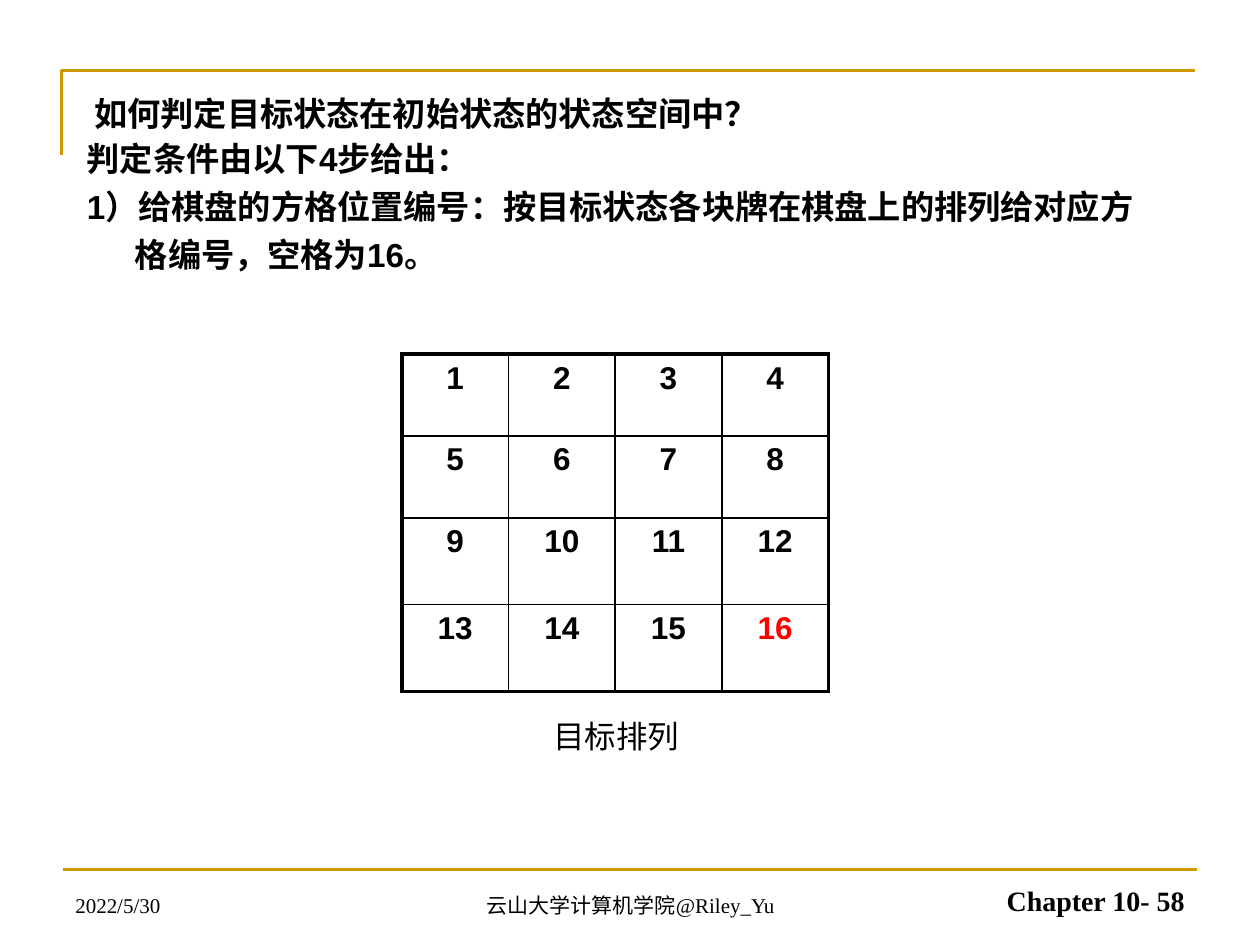
from lxml.etree import SubElement
from pptx import Presentation
from pptx.dml.color import RGBColor
from pptx.enum.shapes import MSO_CONNECTOR
from pptx.enum.text import MSO_ANCHOR, PP_ALIGN
from pptx.oxml import parse_xml
from pptx.oxml.ns import nsdecls, qn
from pptx.util import Cm, Pt

COLORS = {"text": "000000", "gold": "CC9900", "blank": "FF0000"}


def format_paragraph(paragraph, size, font_name, bold=False, color="text", align=PP_ALIGN.LEFT):
    paragraph.alignment = align
    for run in paragraph.runs:
        run.font.size = Pt(size)
        run.font.name = font_name
        run.font.bold = bold
        run.font.color.rgb = RGBColor.from_string(COLORS[color])


def add_text(left, top, width, height, lines, anchor=MSO_ANCHOR.TOP, **style):
    text_box = slide.shapes.add_textbox(Cm(left), Cm(top), Cm(width), Cm(height))
    text_frame = text_box.text_frame
    text_frame.word_wrap = True
    text_frame.vertical_anchor = anchor
    text_frame.text = "\n".join(lines)
    for paragraph in text_frame.paragraphs:
        format_paragraph(paragraph, **style)
    return text_frame


presentation = Presentation()
presentation.slide_width = Cm(25.4)
presentation.slide_height = Cm(19.05)
slide = presentation.slides.add_slide(presentation.slide_layouts[5])

# Gold corner at the top and rule at the bottom
builder = slide.shapes.build_freeform(Cm(1.24), Cm(3.12))
builder.add_line_segments([(Cm(1.24), Cm(1.42)), (Cm(24.1), Cm(1.42))], close=False)
corner = builder.convert_to_shape()
corner.fill.background()
corner.shadow.inherit = False
rule = slide.shapes.add_connector(
    MSO_CONNECTOR.STRAIGHT, Cm(1.27), Cm(17.53), Cm(24.13), Cm(17.53))
SubElement(rule._element.spPr, qn("a:effectLst"))
for shape in (corner, rule):
    shape.line.color.rgb = RGBColor.from_string(COLORS["gold"])
    shape.line.width = Pt(1.5)

# Title
title = slide.shapes.title
title.left, title.top, title.width, title.height = Cm(1.65), Cm(1.75), Cm(22.86), Cm(1.75)
title.text_frame.text = "如何判定目标状态在初始状态的状态空间中？"
title.text_frame.vertical_anchor = MSO_ANCHOR.TOP
format_paragraph(title.text_frame.paragraphs[0], 19, "Times New Roman", bold=True)

# Body text with hanging indents
body = add_text(
    1.5, 2.51, 21.62, 5.21,
    ["判定条件由以下4步给出：",
     "1）给棋盘的方格位置编号：按目标状态各块牌在棋盘上的排列给对应方格编号，空格为16。"],
    size=19, font_name="Arial", bold=True)
for paragraph in body.paragraphs:
    paragraph.line_spacing = 1.2
    properties = paragraph._p.get_or_add_pPr()
    properties.set("marL", str(Cm(0.97)))
    properties.set("indent", str(-Cm(0.97)))

# Board: squares numbered row by row, thick outer frame
row_heights = [1.65, 1.65, 1.75, 1.75]
count = len(row_heights)
table = slide.shapes.add_table(
    count, count, Cm(8.1), Cm(7.14), Cm(8.6), Cm(sum(row_heights))).table
table.first_row = table.horz_banding = False
for row, height in enumerate(row_heights):
    table.rows[row].height = Cm(height)
    table.columns[row].width = Cm(2.15)
    for column in range(count):
        number = row * count + column + 1
        cell = table.cell(row, column)
        cell.text_frame.text = str(number)
        format_paragraph(
            cell.text_frame.paragraphs[0], 18, "Arial", bold=True,
            color="blank" if number == count ** 2 else "text", align=PP_ALIGN.CENTER)
        cell.fill.background()
        outer_sides = {"lnL": column == 0, "lnR": column == count - 1,
                       "lnT": row == 0, "lnB": row == count - 1}
        for index, (side, is_outer) in enumerate(outer_sides.items()):
            width = Pt(2.25 if is_outer else 1)
            border = parse_xml(
                f'<a:{side} {nsdecls("a")} w="{width}"><a:solidFill>'
                f'<a:srgbClr val="{COLORS["text"]}"/></a:solidFill></a:{side}>')
            cell._tc.get_or_add_tcPr().insert(index, border)

# Caption below the board
add_text(10.9, 14.33, 6.2, 1.02, ["目标排列"], size=18, font_name="Arial")

# Footer
footers = [
    (1.27, 5.92, "2022/5/30", 12, False, PP_ALIGN.LEFT),
    (8.69, 8.05, "云山大学计算机学院@Riley_Yu", 12, False, PP_ALIGN.CENTER),
    (18.21, 5.92, "Chapter 10- 58", 16, True, PP_ALIGN.RIGHT),
]
for left, width, text, size, bold, align in footers:
    add_text(left, 17.35, width, 1.27, [text], anchor=MSO_ANCHOR.BOTTOM,
             size=size, font_name="Times New Roman", bold=bold, align=align)

presentation.save("out.pptx")
